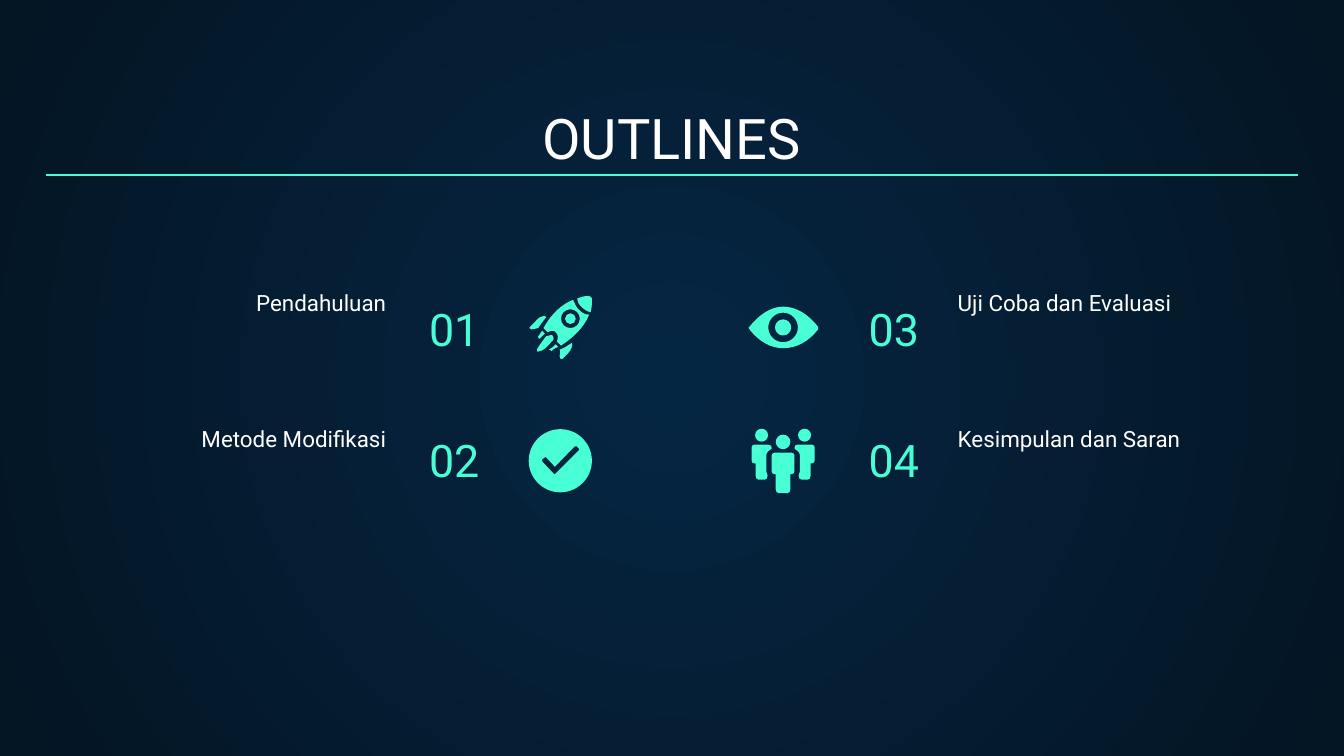
from pptx import Presentation
from pptx.dml.color import RGBColor
from pptx.enum.shapes import MSO_CONNECTOR
from pptx.enum.text import MSO_ANCHOR, PP_ALIGN
from pptx.oxml.ns import qn
from pptx.util import Cm, Pt
from lxml.etree import SubElement

MINT = RGBColor(0x48, 0xFF, 0xD5)
WHITE = RGBColor(0xFF, 0xFF, 0xFF)
NAVY = RGBColor(0x05, 0x26, 0x43)
NIGHT = RGBColor(0x04, 0x15, 0x23)
FONT = "Roboto"
UNIT = Cm(2.54) / 100  # one step of the icon grid
FINE = 100             # subdivisions of a grid step

# Icons: (width, height, outlines). M move, L line, C curve, O circle (x, y, radius)
ROCKET = (47, 47, [
    "M 10 26 C 8 28 8 30 7 30 C 7 31 7 32 8 32 C 9 31 10 30 11 29 L 12 28",
    "M 20 36 C 18 38 17 39 15 40 C 16 40 17 41 17 41 C 18 40 19 39 22 38",
    "M 17 29 C 16 29 14 30 13 30 C 9 35 7 38 6 40 C 6 42 7 42 8 41 "
    "C 10 41 13 39 17 34 C 19 33 19 30 17 29",
    "M 12 15 C 10 15 7 16 5 19 L 1 23 C 0 23 0 25 2 25 C 4 24 5 24 7 24 "
    "C 9 21 11 18 13 16",
    "M 32 35 C 29 37 26 39 23 40 C 24 41 23 42 23 45 C 23 47 24 47 25 47 "
    "L 29 43 C 32 40 33 36 32 35",
    "O 31 17 4",
    "M 44 0 C 41 0 39 1 36 2 C 36 4 37 6 39 8 C 41 10 44 12 46 12 "
    "C 47 9 47 5 47 2 C 47 1 46 0 44 0",
    "O 31 17 7 M 33 3 C 25 6 17 13 11 24 L 14 27 C 15 26 16 26 17 26 "
    "C 18 26 20 26 20 27 C 22 29 22 31 21 34 L 24 37 C 32 32 41 24 45 14 "
    "C 42 14 40 13 37 10 C 35 8 34 5 33 3",
])
CHECK = (47, 47, [
    "O 23.5 23.5 23.5 M 34 13 C 35 12.5 36 12.5 36 13 L 37 14 C 38 15 38 15 37 16 "
    "L 20 33 C 19.5 34 19 34 18.5 33 L 10 24 C 9.5 23 10 23 10 22.5 "
    "L 12 21 C 12.5 20.5 13 21 13 21 L 19.5 28",
])
EYE = (52, 31, [
    "M 26 0 C 17 0 8 6 1 15 C 0 15 0 16 1 17 C 8 26 17 31 26 31 "
    "C 36 31 45 26 52 17 C 52 16 52 15 52 15 C 45 6 36 0 26 0 "
    "O 26 15.5 11 O 26 15.5 6",
])
PEOPLE = (47, 48, [
    "O 7.5 5 4.8",
    "M 2 12 C 1 12 0 13 0 14 L 0 24 C 0 25 1 26 2 26 L 3 26 L 3 35 "
    "C 3 37 4 38 5 38 L 10 38 C 11 38 12 37 12 35 C 12 34 11 33 11 32 "
    "L 11 20 C 11 18 13 16 15 15 L 15 14 C 15 13 14 12 12 12",
    "O 39.5 5 4.8",
    "M 45 12 C 46 12 47 13 47 14 L 47 24 C 47 25 46 26 45 26 L 44 26 L 44 35 "
    "C 44 37 43 38 42 38 L 37 38 C 36 38 35 37 35 35 C 35 34 36 33 36 32 "
    "L 36 20 C 36 18 34 16 32 15 L 32 14 C 32 13 33 12 34 12",
    "M 17 18 C 16 18 15 19 15 20 L 15 32 C 15 33 16 34 17 34 L 18 34 L 18 45 "
    "C 18 47 19 48 20 48 L 27 48 C 28 48 29 47 29 45 L 29 34 L 30 34 "
    "C 31 34 32 33 32 32 L 32 20 C 32 19 31 18 30 18",
    "O 23.5 10 5.4",
])


def circle(x, y, rad):
    """Four curves that start and end at the top of the circle."""
    k = 0.55 * rad
    segments, dx, dy = [[(x, y - rad)]], 0, -1
    for _ in range(4):
        nx, ny = -dy, dx
        segments.append([(x + dx * rad + nx * k, y + dy * rad + ny * k),
                         (x + nx * rad + dx * k, y + ny * rad + dy * k),
                         (x + nx * rad, y + ny * rad)])
        dx, dy = nx, ny
    return segments


def contours(outline):
    """Turn an outline into contours: a start, then segments of one or three points."""
    result, tokens = [], iter(outline.split())
    for cmd in tokens:
        count = {"O": 3, "C": 6}.get(cmd, 2)
        nums = [float(next(tokens)) * FINE for _ in range(count)]
        points = list(zip(nums[::2], nums[1::2]))
        if cmd == "O":
            result.append(circle(*nums))
        elif cmd == "M":
            result.append([points])
        else:
            result[-1].append(points)
    return result


def add_outline(shapes, outline, left, top):
    parts = contours(outline)
    fb = shapes.build_freeform(*parts[0][0][0], scale=UNIT / FINE)
    for i, (start, *segments) in enumerate(parts):
        if i:
            fb.move_to(*start[0])
        fb.add_line_segments([seg[-1] for seg in segments], close=True)
    sp = fb.convert_to_shape(left, top)
    # Bend the lines that are curves
    anchors = [seg[-1] for part in parts for seg in part]
    x0, y0 = (min(values) for values in zip(*anchors))
    segments = [seg for part in parts for seg in part[1:]]
    for line, seg in zip(list(sp._element.iter(qn("a:lnTo"))), segments):
        if len(seg) == 3:
            line.tag = qn("a:cubicBezTo")
            for i, (x, y) in enumerate(seg[:2]):
                pt = SubElement(line, qn("a:pt"), x=str(round(x - x0)), y=str(round(y - y0)))
                line.insert(i, pt)
    sp.shadow.inherit = False
    sp.fill.solid()
    sp.fill.fore_color.rgb = MINT
    sp.line.fill.background()


def add_icon(s, icon, cx, cy):
    """Draw an icon centred on (cx, cy)."""
    w, h, outlines = icon
    left, top = round(Cm(cx) - w * UNIT / 2), round(Cm(cy) - h * UNIT / 2)
    shapes = s.shapes.add_group_shape().shapes if len(outlines) > 1 else s.shapes
    for outline in outlines:
        add_outline(shapes, outline, left, top)


def add_text(s, text, box, size, color, align):
    tf = s.shapes.add_textbox(*(Cm(v) for v in box)).text_frame
    tf.word_wrap = True
    tf.vertical_anchor = MSO_ANCHOR.BOTTOM
    tf.margin_left = tf.margin_right = tf.margin_top = tf.margin_bottom = Cm(0.25)
    p = tf.paragraphs[0]
    p.alignment = align
    r = p.add_run()
    r.text = text
    r.font.name, r.font.size, r.font.color.rgb = FONT, Pt(size), color


def add_background(s):
    fill = s.background.fill
    fill.gradient()
    for stop, pos, color in zip(fill.gradient_stops, (0, 1), (NAVY, NIGHT)):
        stop.position, stop.color.rgb = pos, color
    # Radial instead of linear
    grad = s._element.find(".//" + qn("a:gradFill"))
    grad.remove(grad.find(qn("a:lin")))
    radial = SubElement(grad, qn("a:path"), path="circle")
    SubElement(radial, qn("a:fillToRect"), l="50000", t="50000", r="50000", b="50000")


def add_header(s, x, y, w, h):
    add_text(s, "OUTLINES", (x, y, w, h), 30, WHITE, PP_ALIGN.CENTER)
    rule_y = Cm(y + 1.52)
    rule = s.shapes.add_connector(MSO_CONNECTOR.STRAIGHT, Cm(x), rule_y, Cm(x + w), rule_y)
    rule.line.color.rgb = MINT
    rule.line.width = Pt(0.75)
    SubElement(rule._element.spPr, qn("a:effectLst"))


def add_column(s, columns, items):
    """Place the entries of one column; columns holds its x positions and alignments."""
    label_x, number_x, icon_cx, label_align, number_align = columns
    for (number, label, icon), (number_y, label_y, icon_cy) in zip(items, ROWS):
        add_text(s, number, (number_x, number_y, 3.28, 1.68), 24, MINT, number_align)
        add_text(s, label, (label_x, label_y, 5.77, 0.53), 12, WHITE, label_align)
        add_icon(s, icon, icon_cx, icon_cy)


# Number top, label top and icon centre of each row
ROWS = [(5.29, 5.7, 6.19), (7.77, 8.27, 8.71)]
LEFT = (1.78, 7.86, 10.59, PP_ALIGN.RIGHT, PP_ALIGN.LEFT)
RIGHT = (17.85, 14.34, 14.8, PP_ALIGN.LEFT, PP_ALIGN.RIGHT)


def main():
    prs = Presentation()
    prs.slide_width, prs.slide_height = Cm(25.4), Cm(14.29)
    s = prs.slides.add_slide(prs.slide_layouts[6])
    add_background(s)
    add_header(s, 0.86, 1.79, 23.67, 1.68)
    add_column(s, LEFT, [("01", "Pendahuluan", ROCKET), ("02", "Metode Modifikasi", CHECK)])
    add_column(s, RIGHT, [("03", "Uji Coba dan Evaluasi", EYE),
                          ("04", "Kesimpulan dan Saran", PEOPLE)])
    prs.save("out.pptx")


if __name__ == "__main__":
    main()
